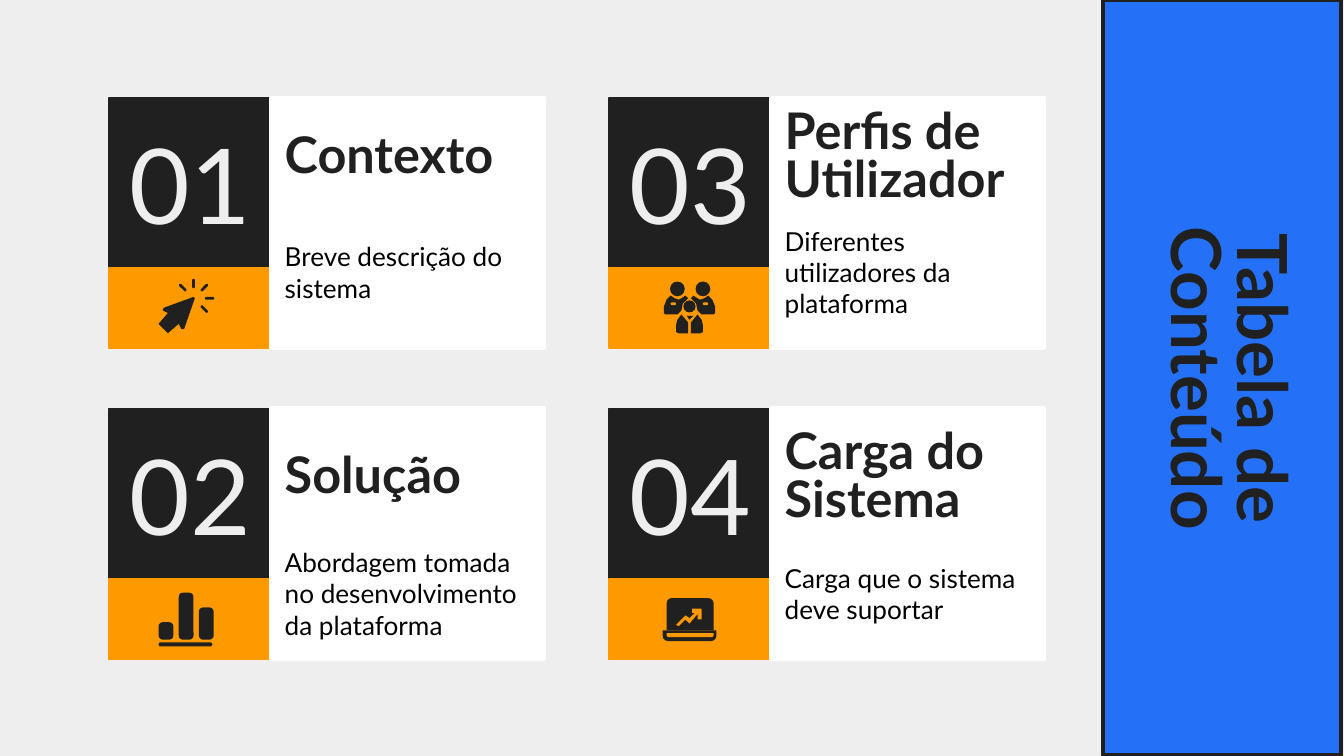
from pptx import Presentation
from pptx.dml.color import RGBColor
from pptx.enum.shapes import MSO_SHAPE as Shape
from pptx.enum.text import MSO_ANCHOR as Anchor, MSO_AUTO_SIZE as AutoSize, PP_ALIGN as Align
from pptx.util import Inches, Pt

COLORS = {"back": "EEEEEE", "dark": "202020", "blue": "2471F7",
          "orange": "FF9900", "white": "FFFFFF", "black": "000000"}
FONT = "Lato"
TITLE = "Tabela de Conteúdo"

COLUMNS = [0.81, 4.53]
ROWS = [
    {"top": 0.73, "icon": 1.99, "heading": 0.95, "detail": 1.73},
    {"top": 3.04, "icon": 4.31, "heading": 3.33, "detail": 4.12},
]
CARDS = [
    ("01", "Contexto", "Breve descrição do sistema"),
    ("02", "Solução", "Abordagem tomada no desenvolvimento da plataforma"),
    ("03", "Perfis de Utilizador", "Diferentes utilizadores da plataforma"),
    ("04", "Carga do Sistema", "Carga que o sistema deve suportar"),
]
TILE_WIDTH, TILE_HEIGHT, NUMBER_HEIGHT, ICON_HEIGHT = 1.21, 1.28, 1.26, 0.6
PANEL_WIDTH, CARD_HEIGHT = 2.03, 1.86

POINTER = [(1.44, 2.21), (1.22, 2.29), (1.21, 2.31), (1.25, 2.33), (1.18, 2.41),
           (1.25, 2.48), (1.33, 2.41), (1.35, 2.45), (1.37, 2.45), (1.45, 2.22)]
RAYS = [(1.44, 2.11, 90), (1.56, 2.22, 0), (1.36, 2.14, 45),
        (1.52, 2.14, 135), (1.52, 2.3, 45)]
BARS = [(1.18, 4.63, 0.11, 0.13), (1.33, 4.41, 0.11, 0.35), (1.48, 4.52, 0.11, 0.24)]
TREND = [(5.15, 4.53), (5.22, 4.53), (5.22, 4.61), (5.19, 4.61), (5.19, 4.57),
         (5.13, 4.64), (5.1, 4.61), (5.05, 4.66), (5.03, 4.65), (5.1, 4.58),
         (5.13, 4.6), (5.17, 4.56), (5.15, 4.56)]
HEADS = [(5.04, 2.15, 0.11), (5.23, 2.15, 0.11), (5.13, 2.28, 0.09)]
SHOULDER = [(4.99, 2.2), (4.96, 2.23), (4.94, 2.28), (4.94, 2.33), (4.95, 2.34),
            (5.04, 2.34), (5.07, 2.31), (5.08, 2.26), (5.12, 2.22), (5.1, 2.2),
            (5.07, 2.22), (5.05, 2.23), (5.02, 2.22)]
TORSO = [(5.07, 2.34), (5.04, 2.38), (5.03, 2.42), (5.03, 2.47), (5.05, 2.48),
         (5.12, 2.48), (5.12, 2.4)]
COLLAR = [(5.11, 2.35), (5.13, 2.38), (5.16, 2.35)]
USERS_AXIS = 5.13


def color(name):
    return RGBColor.from_string(COLORS[name])


def paint(shape, fill, line=None):
    shape.shadow.inherit = False
    shape.fill.solid()
    shape.fill.fore_color.rgb = color(fill)
    if line:
        shape.line.color.rgb = color(line[0])
        shape.line.width = Pt(line[1])
    else:
        shape.line.fill.background()


def add_block(shapes, place, fill="dark", kind=Shape.RECTANGLE, line=None, turn=0, radius=None):
    block = shapes.add_shape(kind, *map(Inches, place))
    paint(block, fill, line)
    block.rotation = turn
    if radius is not None:
        block.adjustments[0] = radius
    return block


def add_outline(shapes, points, fill="dark"):
    start, *rest = [(Inches(x), Inches(y)) for x, y in points]
    builder = shapes.build_freeform(*start)
    builder.add_line_segments(rest, close=True)
    paint(builder.convert_to_shape(), fill)


def write(box, text, size, ink="dark", bold=False, align=Align.LEFT, spacing=1.0, inset=0.1):
    frame = box.text_frame
    frame.word_wrap = True
    frame.auto_size = AutoSize.NONE
    frame.vertical_anchor = Anchor.MIDDLE
    frame.margin_left = frame.margin_right = Inches(inset)
    frame.margin_top = frame.margin_bottom = Inches(inset)
    para = frame.paragraphs[0]
    para.alignment = align
    para.line_spacing = spacing
    span = para.add_run()
    span.text = text
    span.font.name, span.font.size, span.font.bold = FONT, Pt(size), bold
    span.font.color.rgb = color(ink)


def add_text(page, place, text, size, **style):
    write(page.shapes.add_textbox(*map(Inches, place)), text, size, **style)


def draw_pointer(shapes):
    add_outline(shapes, POINTER)
    for x, y, turn in RAYS:
        add_block(shapes, (x - 0.035, y - 0.01, 0.07, 0.02),
                  kind=Shape.ROUNDED_RECTANGLE, turn=turn, radius=0.5)


def draw_bars(shapes):
    for place in BARS:
        add_block(shapes, place, kind=Shape.ROUNDED_RECTANGLE, radius=0.28)
    add_block(shapes, (1.18, 4.78, 0.4, 0.03), kind=Shape.ROUNDED_RECTANGLE, radius=0.5)


def draw_users(shapes):
    for x, y, size in HEADS:
        add_block(shapes, (x - size / 2, y - size / 2, size, size), kind=Shape.OVAL)
    for half in (SHOULDER, TORSO):
        add_outline(shapes, half)
        add_outline(shapes, [(2 * USERS_AXIS - x, y) for x, y in half])
    add_outline(shapes, COLLAR)
    for left in (4.99, 5.23):
        add_block(shapes, (left, 2.25, 0.04, 0.02), "orange",
                  kind=Shape.ROUNDED_RECTANGLE, radius=0.5)


def draw_laptop(shapes):
    add_block(shapes, (4.96, 4.45, 0.35, 0.24), kind=Shape.ROUND_2_SAME_RECTANGLE)
    add_block(shapes, (4.93, 4.69, 0.4, 0.08), kind=Shape.ROUND_2_SAME_RECTANGLE,
              turn=180, radius=0.5)
    add_block(shapes, (4.96, 4.71, 0.35, 0.03), "orange",
              kind=Shape.ROUND_2_SAME_RECTANGLE, turn=180, radius=0.5)
    add_outline(shapes, TREND, "orange")


def add_card(page, card, left, row):
    number, heading, detail = card
    top, right = row["top"], left + TILE_WIDTH
    add_block(page.shapes, (left, top, TILE_WIDTH, TILE_HEIGHT), "dark", line=("dark", 0.75))
    add_block(page.shapes, (left, row["icon"], TILE_WIDTH, ICON_HEIGHT),
              "orange", line=("orange", 0.75))
    add_block(page.shapes, (right, top, PANEL_WIDTH, CARD_HEIGHT), "white", line=("white", 2.25))
    add_text(page, (left, top, TILE_WIDTH, NUMBER_HEIGHT), number, 56,
             ink="back", align=Align.CENTER)
    add_text(page, (right, row["heading"], PANEL_WIDTH, 0.47), heading, 27, bold=True, spacing=0.8)
    add_text(page, (right, row["detail"], PANEL_WIDTH, 0.59), detail, 14, ink="black")


def main():
    deck = Presentation()
    deck.slide_width = Inches(10)
    deck.slide_height = deck.slide_width * 9 // 16
    page = deck.slides.add_slide(deck.slide_layouts[5])
    page.background.fill.solid()
    page.background.fill.fore_color.rgb = color("back")

    title = page.shapes.title
    sidebar = add_block(page.shapes, (8.21, 0, 1.77, 5.62), "blue", line=("dark", 2.25))
    title.element.addprevious(sidebar.element)
    title.left, title.top, title.width, title.height = map(Inches, (6.89, 1.94, 4.44, 1.75))
    title.rotation = 90
    write(title, TITLE, 37, bold=True, align=Align.CENTER, spacing=0.8, inset=0)

    for index, card in enumerate(CARDS):
        column, row = divmod(index, len(ROWS))
        add_card(page, card, COLUMNS[column], ROWS[row])
    for draw in (draw_pointer, draw_bars, draw_users, draw_laptop):
        draw(page.shapes.add_group_shape().shapes)

    deck.save("out.pptx")


if __name__ == "__main__":
    main()
